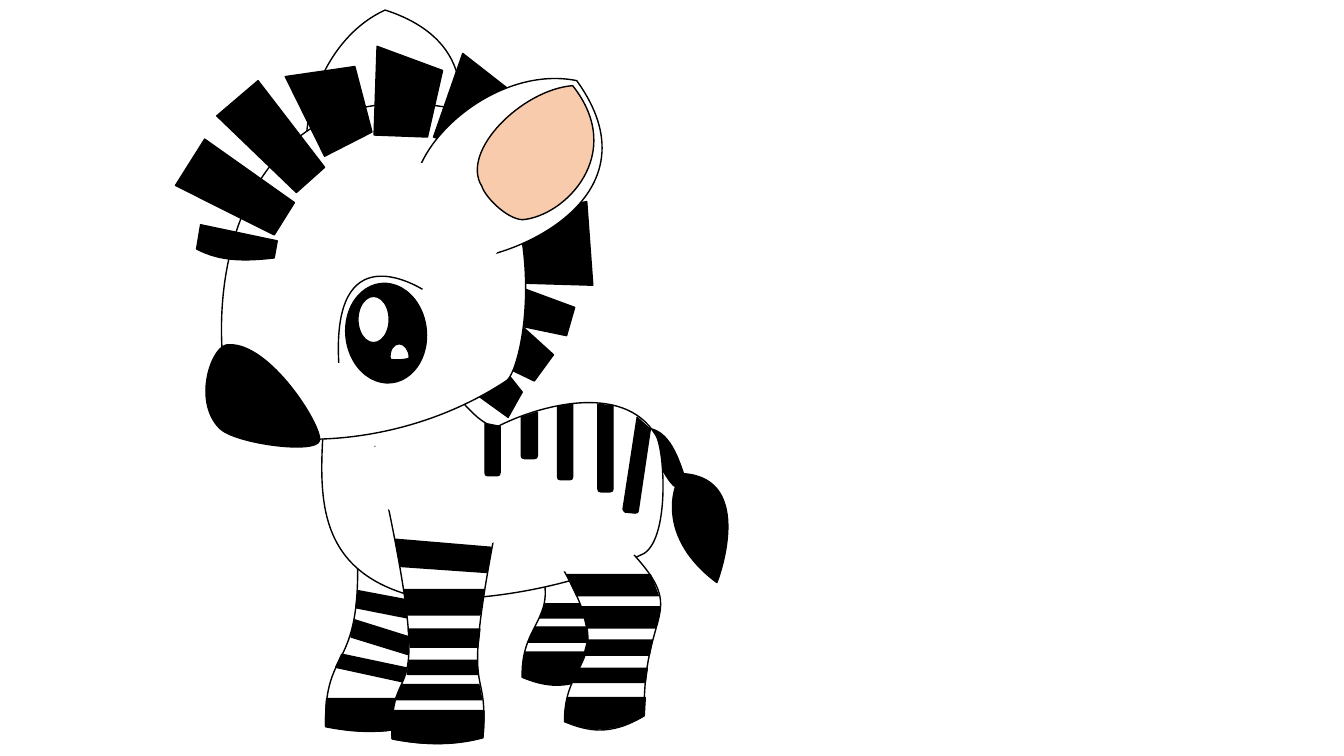
from pptx import Presentation
from pptx.dml.color import RGBColor
from pptx.enum.shapes import MSO_SHAPE as Preset
from pptx.oxml.ns import qn
from pptx.oxml.xmlchemy import OxmlElement as new_element
from pptx.util import Pt

PX = 9144  # EMU per px, 100 px to the inch
BLACK = RGBColor(0x00, 0x00, 0x00)
WHITE = RGBColor(0xFF, 0xFF, 0xFF)
PEACH = RGBColor(0xF8, 0xCB, 0xAD)

# An outline is a start point followed by points (x, y) and cubic curves (x1, y1, x2, y2, x, y).
FAR_HIND_LEG = [(511, 511), (576, 496), (646, 566, 595, 555, 597, 666),
                (563, 686, 540, 681, 518, 672), (516, 604, 575, 618, 511, 511)]
FAR_HIND_HOOF = [(521, 647), (597, 647), (597, 666), (570, 682, 544, 682, 519, 672),
                 (518, 663, 519, 656, 521, 647)]
FAR_FRONT_LEG = [(348, 470), (439, 450), (384, 711, 420, 629, 413, 719),
                 (380, 729, 348, 726, 323, 721), (321, 624, 373, 683, 348, 470)]
FAR_FRONT_HOOF = [(324, 693), (414, 693), (414, 704, 414, 713, 413, 719),
                  (380, 729, 348, 726, 323, 720), (323, 711, 323, 704, 324, 693)]
FAR_FRONT_STRIPES = [
    [(352, 615), (419, 636), (413, 652), (348, 632)],
    [(355, 586), (424, 599), (419, 616), (353, 603)],
    [(339, 649), (405, 663), (402, 677), (333, 662)],
]
FAR_EAR = [(382, 10), (515, 53, 439, 186, 392, 223), (330, 209), (280, 174, 303, 46, 382, 10)]
NECK_MANE = [
    [(588, 283), (521, 281), (512, 214), (582, 200)],
    [(562, 333), (514, 323), (516, 285), (570, 305)],
    [(530, 378), (503, 365), (516, 322), (549, 352)],
    [(504, 414), (472, 391), (499, 365), (518, 389)],
]
TAIL = [(635, 425), (662, 421, 672, 453, 678, 470), (750, 475, 712, 576, 711, 578),
        (652, 534, 669, 486, 670, 483), (658, 476, 646, 433, 635, 454)]
BODY = [(322, 406), (425, 372), (450, 379, 466, 418, 492, 424), (534, 402, 618, 379, 650, 431),
        (659, 442, 665, 532, 639, 549), (558, 588, 458, 599, 412, 592),
        (307, 565, 317, 484, 322, 406)]
HEAD = [(465, 111), (550, 220, 518, 369, 502, 378), (391, 451, 262, 441, 234, 422),
        (192, 294, 235, 55, 465, 111)]
EYELID = [(336, 360), (329, 233, 412, 283, 419, 287)]
SMALL_GLINT = [(387, 356), (386, 348, 390, 341, 396, 341), (401, 341, 406, 347, 406, 355),
               (405, 357, 388, 358, 387, 356)]
NOSE = [(218, 425), (190, 397, 211, 340, 227, 342), (268, 340, 320, 423, 317, 437),
        (314, 451, 233, 440, 218, 425)]
NEAR_FRONT_LEG = [(372, 443), (504, 462), (450, 723, 486, 642, 479, 732),
                  (446, 741, 414, 738, 389, 733), (386, 636, 438, 735, 372, 443)]
NEAR_FRONT_HOOF = [(390, 705), (480, 705), (480, 716, 480, 721, 479, 731),
                   (446, 741, 414, 738, 389, 733), (388, 723, 389, 716, 390, 705)]
HEAD_MANE = [
    [(203, 138), (292, 201), (272, 233), (174, 184)],
    [(256, 80), (322, 166), (294, 191), (215, 115)],
    [(352, 66), (369, 131), (322, 155), (283, 76)],
    [(439, 70), (424, 136), (371, 134), (374, 46)],
    [(514, 96), (480, 154), (430, 136), (459, 53)],
    [(199, 223), (275, 239), (272, 256), (245, 259, 219, 260, 195, 247)],
]
NEAR_HIND_LEG = [(553, 555), (619, 540), (688, 611, 637, 599, 639, 710),
                 (605, 731, 582, 725, 560, 716), (559, 648, 617, 663, 553, 555)]
NEAR_HIND_HOOF = [(563, 692), (640, 692), (639, 710), (612, 726, 586, 726, 561, 716),
                  (560, 708, 561, 701, 563, 692)]
NEAR_EAR = [(572, 80), (654, 193, 515, 256, 454, 258), (413, 210), (393, 152, 488, 63, 572, 80)]
INNER_EAR = [(568, 85), (622, 153, 560, 215, 518, 218), (502, 217, 481, 195, 478, 185),
             (456, 150, 518, 89, 568, 85)]
# Plain white patches that hide the joins of ear, front leg and hind leg.
JOIN_PATCHES = [
    [(368, 180), (438, 130, 497, 195, 498, 238), (496, 254, 473, 273, 462, 276),
     (427, 296, 369, 231, 368, 180)],
    [(347, 467), (400, 395, 501, 440, 525, 481), (531, 497, 515, 524, 505, 530),
     (476, 560, 376, 515, 347, 467)],
    [(521, 559), (523, 490, 603, 475, 635, 491), (645, 499, 647, 522, 644, 530),
     (639, 563, 560, 577, 521, 559)],
]
SHOULDER_STRIPE = [(392, 535), (487, 543), (483, 568), (397, 562)]
RUMP_STRIPE = [(632, 414), (645, 426), (633, 507), (633, 508, 632, 509, 630, 509),
               (620, 508), (619, 507, 618, 506, 618, 505)]

# top, bottom, then x of top left, top right, bottom right, bottom left
FAR_HIND_BANDS = [(622, 637, 531, 608, 611, 524), (599, 613, 541, 618, 621, 535)]
NEAR_BANDS = [(585, 610, 401, 480, 476, 404), (624, 642, 405, 476, 474, 407),
              (655, 669, 406, 473, 474, 404), (679, 694, 399, 475, 478, 392),
              (570, 591, 562, 645, 653, 572), (602, 623, 577, 655, 650, 582),
              (635, 650, 583, 647, 644, 579), (663, 677, 574, 642, 640, 567)]
# left, right, top left, top right, bottom
BACK_STRIPES = [(593, 608, 401, 403, 488), (553, 568, 403, 401, 476),
                (517, 533, 414, 409, 455), (481, 496, 420, 423, 472)]


def curve_points(start, curve, steps=24):
    """Points along a cubic curve, without its start."""
    controls = [start, curve[:2], curve[2:4], curve[4:]]
    for step in range(1, steps + 1):
        t = step / steps
        weights = ((1 - t) ** 3, 3 * t * (1 - t) ** 2, 3 * t * t * (1 - t), t ** 3)
        yield tuple(sum(w * point[axis] for w, point in zip(weights, controls)) for axis in (0, 1))


class Drawing:
    """Draws outlined shapes into one group on the current slide."""

    def __init__(self, slide, line_width=Pt(1)):
        self.shapes = slide.shapes.add_group_shape().shapes
        self.line_width = line_width

    def style(self, shape, fill, line):
        shape.shadow.inherit = False
        if fill is None:
            shape.fill.background()
        else:
            shape.fill.solid()
            shape.fill.fore_color.rgb = fill
        if line is None:
            shape.line.fill.background()
        else:
            shape.line.color.rgb = line
            shape.line.width = self.line_width

    def outline(self, parts, fill=BLACK, line=BLACK, close=True):
        points = [parts[0]]
        for part in parts[1:]:
            points.extend(curve_points(points[-1], part) if len(part) == 6 else [part])
        vertices = [(x * PX, y * PX) for x, y in points]
        builder = self.shapes.build_freeform(*vertices[0], scale=1.0)
        builder.add_line_segments(vertices[1:], close=close)
        shape = builder.convert_to_shape()
        self.set_curves(shape, parts, close)
        self.style(shape, fill, line)

    def set_curves(self, shape, parts, close):
        """Replace the sampled segments, which set the frame, by true curves."""
        geometry = next(shape.element.iter(qn("a:path")))
        for segment in list(geometry):
            geometry.remove(segment)
        for index, part in enumerate(parts):
            tag = "a:moveTo" if index == 0 else "a:cubicBezTo" if len(part) == 6 else "a:lnTo"
            segment = new_element(tag)
            geometry.append(segment)
            for x, y in zip(part[::2], part[1::2]):
                point = new_element("a:pt")
                point.set("x", str(x * PX - shape.left))
                point.set("y", str(y * PX - shape.top))
                segment.append(point)
        if close:
            geometry.append(new_element("a:close"))

    def outlines(self, items, **style):
        for parts in items:
            self.outline(parts, **style)

    def bands(self, rows):
        for top, bottom, top_left, top_right, bottom_right, bottom_left in rows:
            self.outline([(top_left, top), (top_right, top),
                          (bottom_right, bottom), (bottom_left, bottom)])

    def back_stripe(self, left, right, top_left, top_right, bottom, corner=3):
        """A bar with rounded lower corners and a slanted top."""
        rise = bottom - corner
        self.outline([(left, top_left), (right, top_right), (right, rise),
                      (right, bottom - 1, right - 1, bottom, right - corner, bottom),
                      (left + corner, bottom), (left + 1, bottom, left, bottom - 1, left, rise)])

    def ellipse(self, left, top, width, height, fill, rotation=0):
        shape = self.shapes.add_shape(Preset.OVAL, left * PX, top * PX, width * PX, height * PX)
        shape.rotation = rotation
        self.style(shape, fill, BLACK)


def draw_zebra(drawing):
    drawing.outline(FAR_HIND_LEG, fill=WHITE)
    drawing.outline(FAR_HIND_HOOF)
    drawing.bands(FAR_HIND_BANDS)
    drawing.outline(FAR_FRONT_LEG, fill=WHITE)
    drawing.outlines([FAR_FRONT_HOOF, *FAR_FRONT_STRIPES])
    drawing.outline(FAR_EAR, fill=WHITE)
    drawing.outlines([*NECK_MANE, TAIL])
    drawing.outlines([BODY, HEAD], fill=WHITE)
    drawing.outline(EYELID, fill=None, close=False)
    drawing.ellipse(343, 281, 80, 99, BLACK, rotation=354)
    drawing.ellipse(355, 294, 31, 46, WHITE)
    drawing.outline(SMALL_GLINT, fill=WHITE)
    drawing.outline(NOSE)
    drawing.outline(NEAR_FRONT_LEG, fill=WHITE)
    drawing.outlines([NEAR_FRONT_HOOF, *HEAD_MANE])
    drawing.outline(NEAR_HIND_LEG, fill=WHITE)
    drawing.outline(NEAR_HIND_HOOF)
    drawing.outline(NEAR_EAR, fill=WHITE)
    drawing.outline(INNER_EAR, fill=PEACH)
    drawing.outlines(JOIN_PATCHES, fill=WHITE, line=None)
    drawing.outline(SHOULDER_STRIPE)
    drawing.bands(NEAR_BANDS)
    for stripe in BACK_STRIPES:
        drawing.back_stripe(*stripe)
    drawing.outline(RUMP_STRIPE)


presentation = Presentation()
presentation.slide_width, presentation.slide_height = 1333 * PX, 750 * PX
draw_zebra(Drawing(presentation.slides.add_slide(presentation.slide_layouts[6])))
presentation.save("out.pptx")
